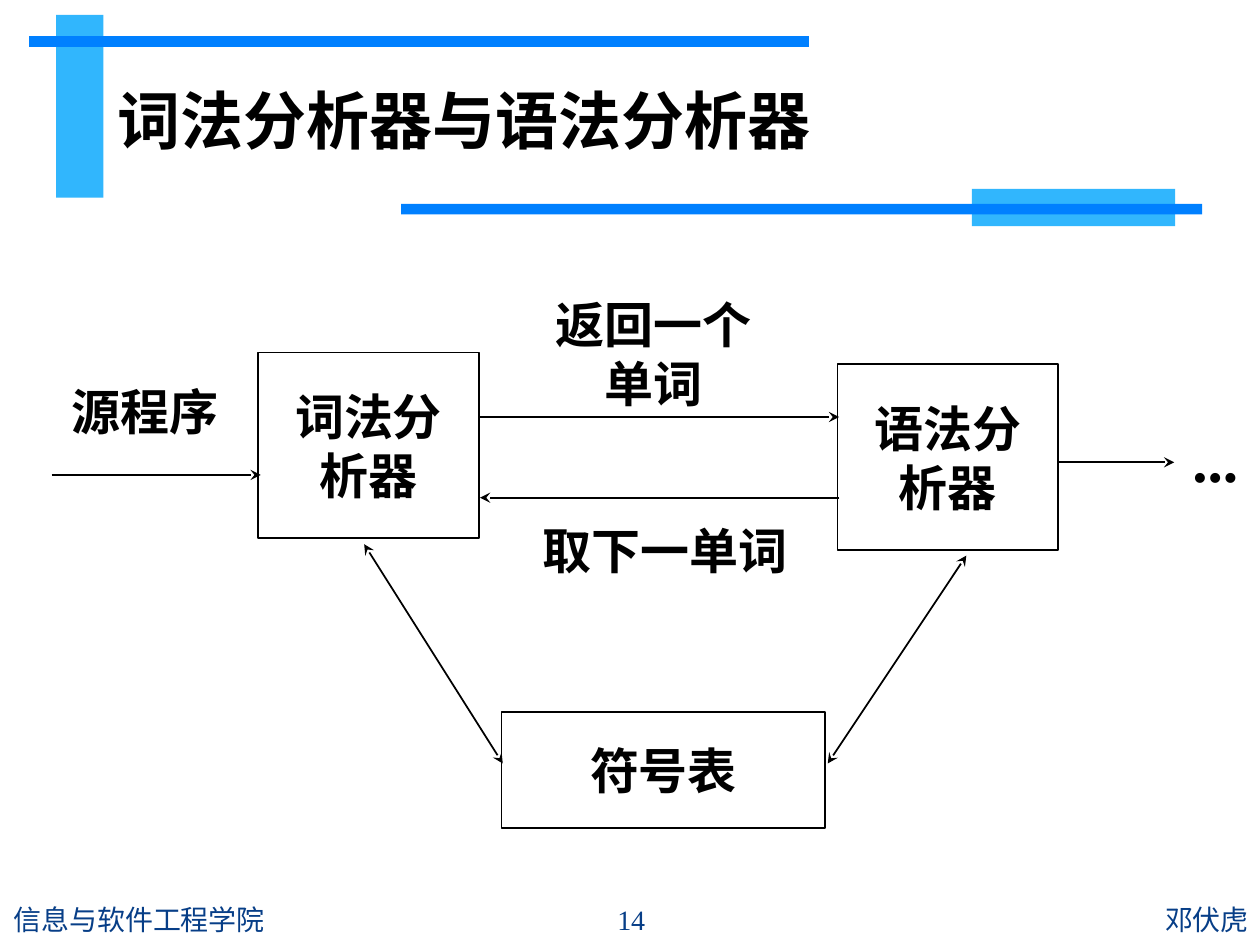
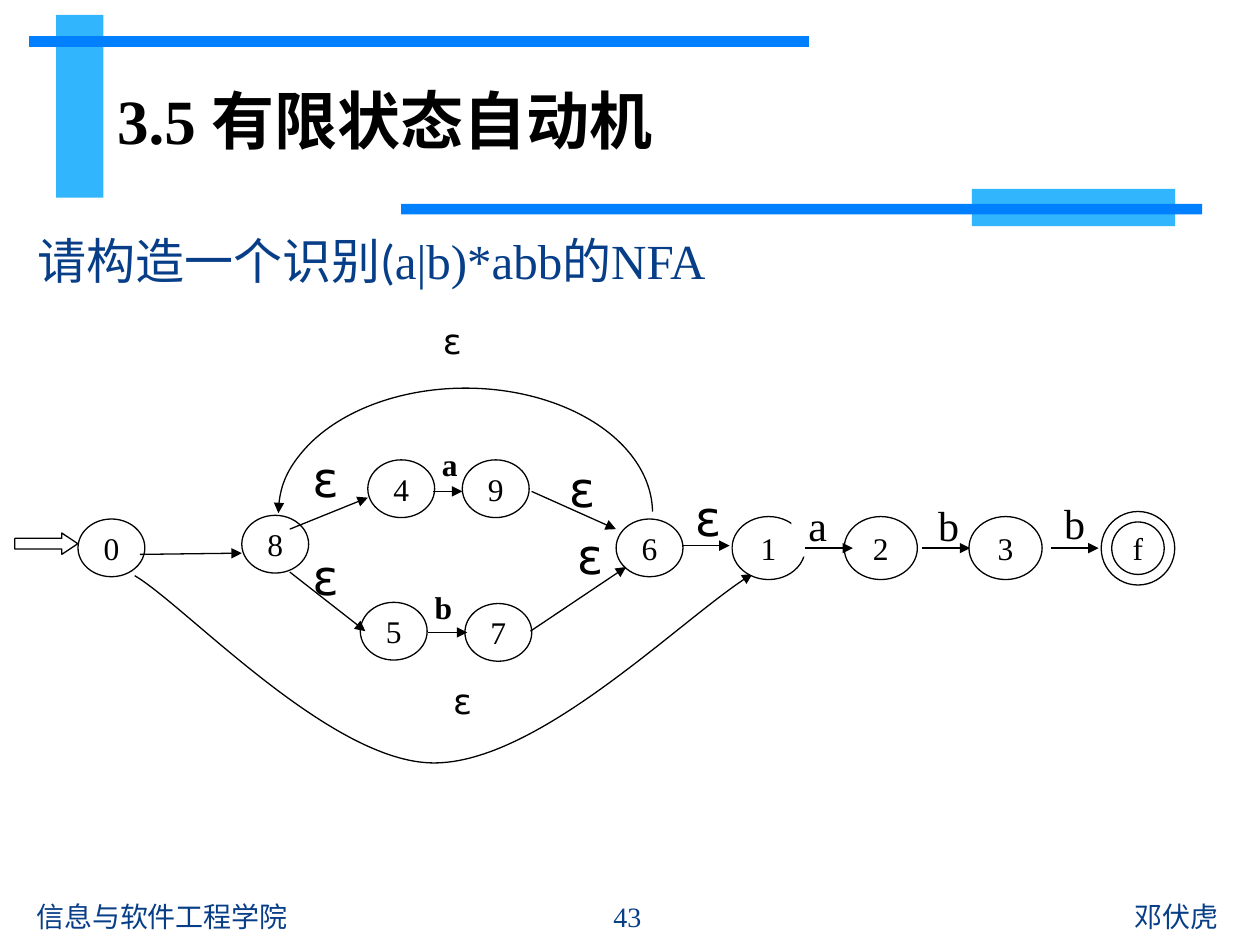
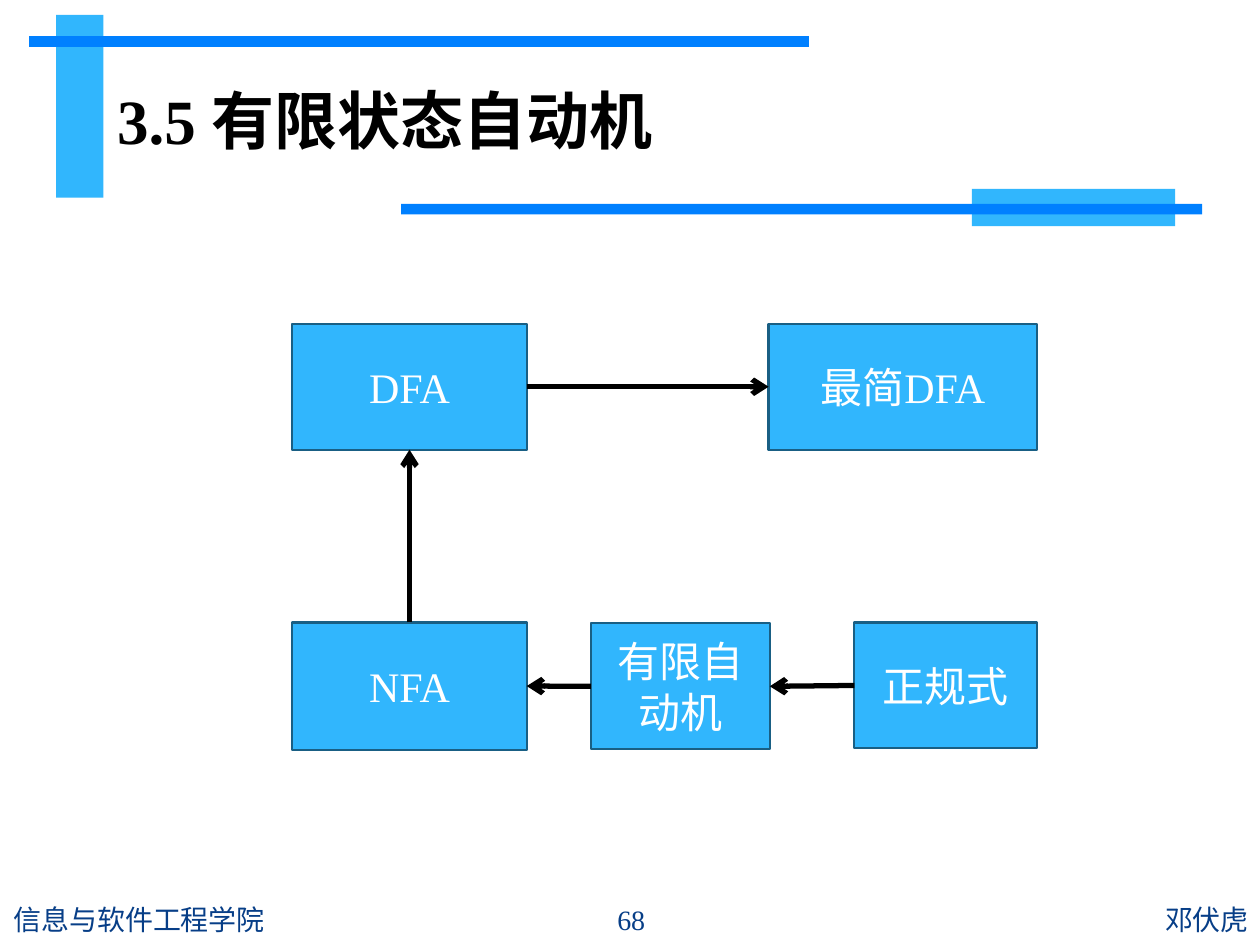
from dataclasses import dataclass

from lxml import etree
from pptx import Presentation
from pptx.dml.color import RGBColor
from pptx.enum.shapes import MSO_CONNECTOR, MSO_SHAPE
from pptx.enum.text import MSO_ANCHOR, PP_ALIGN
from pptx.oxml.ns import qn
from pptx.util import Pt

RECTANGLE, OVAL = MSO_SHAPE.RECTANGLE, MSO_SHAPE.OVAL
RIGHT_ARROW, ARC = MSO_SHAPE.RIGHT_ARROW, MSO_SHAPE.ARC
STRAIGHT = MSO_CONNECTOR.STRAIGHT
TOP, MIDDLE = MSO_ANCHOR.TOP, MSO_ANCHOR.MIDDLE
LEFT, CENTER, RIGHT = PP_ALIGN.LEFT, PP_ALIGN.CENTER, PP_ALIGN.RIGHT


@dataclass(frozen=True)
class Theme:
    sky: str = "31B6FD"
    blue: str = "0080FF"
    navy: str = "073E87"
    edge: str = "195F84"
    black: str = "000000"
    white: str = "FFFFFF"
    serif: str = "Times New Roman"
    sans: str = "Calibri"
    heading: str = "Arial"
    symbol: str = "DejaVu Sans"
    title_size: float = 36
    dots_size: float = 35
    body_size: float = 28
    box_size: float = 24
    small_symbol_size: float = 20
    state_size: float = 18
    footer_size: float = 16
    hairline: float = 0.75
    thin: float = 1
    border: float = 1.25
    thick: float = 3


THEME = Theme()


@dataclass(frozen=True)
class Box:
    left: float
    top: float
    width: float
    height: float

    def inner(self, left, top, width, height):
        return Box(self.left + left, self.top + top, width, height)

    def shift(self, x, y):
        return self.left + x, self.top + y

    def at(self, across, down):
        return self.left + self.width * across, self.top + self.height * down

    def lengths(self):
        return [Pt(value) for value in (self.left, self.top, self.width, self.height)]


def text_format(size, font=THEME.serif, color=THEME.black, bold=False):
    return {"size": Pt(size), "name": font, "bold": bold}, color


def write(shape, paragraphs, style, align=CENTER, anchor=MIDDLE, wrap=False):
    frame = shape.text_frame
    frame.word_wrap = wrap
    frame.vertical_anchor = anchor
    values, color = style
    for index, runs in enumerate(paragraphs):
        para = frame.paragraphs[0] if index == 0 else frame.add_paragraph()
        para.alignment = align
        for text, font in runs:
            span = para.add_run()
            span.text = text
            for name, value in {**values, "name": font or values["name"]}.items():
                setattr(span.font, name, value)
            span.font.color.rgb = RGBColor.from_string(color)


def plain(*lines):
    return [[(line, None)] for line in lines]


def add_text(page, box, paragraphs, style, **layout):
    write(page.shapes.add_textbox(*box.lengths()), paragraphs, style, **layout)


def set_line(shape, color, weight):
    shape.line.color.rgb = RGBColor.from_string(color)
    shape.line.width = Pt(weight)


def paint(shape, fill=None, line=None, weight=THEME.hairline):
    shape.shadow.inherit = False
    if fill:
        shape.fill.solid()
        shape.fill.fore_color.rgb = RGBColor.from_string(fill)
    else:
        shape.fill.background()
    if line:
        set_line(shape, line, weight)
    else:
        shape.line.fill.background()


def add_figure(page, kind, box, **colors):
    shape = page.shapes.add_shape(kind, *box.lengths())
    paint(shape, **colors)
    return shape


def add_heads(shape, **heads):
    outline = shape.line._get_or_add_ln()
    for end, kind in heads.items():
        etree.SubElement(outline, qn(f"a:{end}End"), type=kind)


def add_arrow(page, start, finish, weight, **heads):
    arrow = page.shapes.add_connector(STRAIGHT, *[Pt(value) for value in (*start, *finish)])
    set_line(arrow, THEME.black, weight)
    add_heads(arrow, **heads)
    etree.SubElement(arrow._element.spPr, qn("a:effectLst"))


def add_curve(page, points):
    scale = 12700
    builder = page.shapes.build_freeform(*points[0], scale=scale)
    builder.add_line_segments(points[1:], close=False)
    curve = builder.convert_to_shape()
    outline = curve._element.find(".//" + qn("a:path"))
    steps = outline.findall(qn("a:lnTo"))
    for first in range(0, len(steps), 3):
        bezier = etree.SubElement(outline, qn("a:cubicBezTo"))
        for step in steps[first:first + 3]:
            bezier.append(step[0])
            outline.remove(step)
    paint(curve, fill=THEME.white, line=THEME.black)
    add_heads(curve, tail="triangle")


def draw_header(page, box, title):
    for bar, color in (
        ((15.5, 0, 27, 104.5), THEME.sky),
        ((0, 12.1, 445.7, 6.2), THEME.blue),
        ((538.8, 99.4, 116.2, 21.4), THEME.sky),
        ((212.6, 108.1, 457.7, 6), THEME.blue),
    ):
        add_figure(page, RECTANGLE, box.inner(*bar), fill=color)
    add_text(page, box.inner(43.3, 23.2, 556, 73.4), [title],
             text_format(THEME.title_size, bold=True), align=LEFT, wrap=True)


def draw_footer(page, box, number):
    middle = 91.4
    side = (box.width - middle) / 2
    for left, width, text, font, align in (
        (0, side, "信息与软件工程学院", THEME.sans, LEFT),
        (side, middle, number, THEME.serif, CENTER),
        (side + middle, side, "邓伏虎", THEME.sans, RIGHT),
    ):
        add_text(page, box.inner(left, 0, width, box.height), plain(text),
                 text_format(THEME.footer_size, font, THEME.navy), align=align, wrap=True)


def draw_analyzers(page, box):
    bold = text_format(THEME.body_size, bold=True)
    for place, lines in (
        ((131.6, 29.4, 126, 106), ("词法分", "析器")),
        ((462.6, 36.2, 126, 106), ("语法分", "析器")),
        ((270.6, 234.8, 185, 66.2), ("符号表",)),
    ):
        module = add_figure(page, RECTANGLE, box.inner(*place),
                            line=THEME.black, weight=THEME.thin)
        write(module, plain(*lines), bold)
    for place, text in (
        ((0.4, 33.2, 132.5, 59.8), "源程序"),
        ((291.4, 0, 132.5, 59.8), "返回一个单词"),
        ((264.8, 112.4, 198.7, 59.8), "取下一单词"),
    ):
        add_text(page, box.inner(*place), plain(text), bold)
    add_text(page, box.inner(653.5, 59.8, 50, 59.8), plain("..."),
             text_format(THEME.dots_size, bold=True))
    one_way = {"tail": "stealth"}
    two_way = {"head": "stealth", "tail": "stealth"}
    for start, finish, heads in (
        ((13.5, 99.4), (133, 99.4), one_way),
        ((258.3, 66.3), (463.5, 66.3), one_way),
        ((463.5, 112.4), (258.3, 112.4), one_way),
        ((588.8, 92.2), (655, 92.2), one_way),
        ((192.1, 139), (271.3, 264.3), two_way),
        ((536.2, 145.5), (457, 264.3), two_way),
    ):
        add_arrow(page, box.shift(*start), box.shift(*finish), THEME.thin, **heads)


def draw_state(page, box, name):
    state = add_figure(page, OVAL, box, fill=THEME.white, line=THEME.black)
    if name:
        write(state, plain(name), text_format(THEME.state_size))


def draw_automaton(page, box):
    small, large = (38.2, 33), (41.8, 36)
    add_curve(page, [box.shift(*point) for point in (
        (69, 153), (97.8, 170.3), (181.4, 260.3), (240.4, 260.3),
        (299.4, 260.3), (384.4, 174.6), (421.8, 152.3))])
    entry = add_figure(page, RIGHT_ARROW, box.inner(0.5, 128.6, 36, 12.2),
                       fill=THEME.white, line=THEME.black)
    entry.adjustments[0], entry.adjustments[1] = 0.5, 0.75
    draw_state(page, box.inner(410.3, 119.2, *large), "1")

    epsilon = text_format(THEME.body_size, THEME.symbol), (26.6, 41)
    small_epsilon = text_format(THEME.small_symbol_size, THEME.symbol), (27.4, 31.7)
    letter = text_format(THEME.box_size), (30.2, 36)
    for text, left, top, (style, size) in (
        ("ε", 164.8, 132.9, epsilon),
        ("ε", 316, 120.6, epsilon),
        ("ε", 164.8, 76.7, epsilon),
        ("ε", 311.4, 82.5, epsilon),
        ("ε", 383.4, 99, epsilon),
        ("ε", 242.6, 208.5, small_epsilon),
        ("ε", 236.8, 3.3, small_epsilon),
        ("a", 444.2, 106.2, letter),
        ("b", 519, 106.2, letter),
        ("b", 591, 104.8, letter),
    ):
        label = add_figure(page, RECTANGLE, box.inner(left, top, *size), fill=THEME.white)
        write(label, plain(text), style, anchor=TOP)

    for name, left, top, size in (
        ("0", 36.6, 120.6, small),
        ("8", 130.2, 118.5, small),
        ("4", 202.2, 86.8, small),
        ("9", 256.2, 86.8, small),
        ("5", 197.9, 168.2, small),
        ("7", 257.7, 168.9, small),
        ("6", 344.1, 120.6, small),
        ("2", 474.4, 119.2, large),
        ("3", 545.7, 119.2, large),
        ("", 621.3, 116.3, (42, 42)),
        ("f", 627.3, 122.3, (30, 30)),
    ):
        draw_state(page, box.inner(left, top, *size), name)

    for text, left, top in (("a", 236.8, 74.6), ("b", 233.2, 156.6)):
        add_text(page, box.inner(left, top, 24.5, 28.8), plain(text),
                 text_format(THEME.state_size, bold=True), anchor=TOP)

    for start, finish in (
        ((71.9, 140.8), (130.2, 140.1)),
        ((157.6, 126.4), (202.2, 108.4)),
        ((239.7, 104.8), (256.2, 104.8)),
        ((295.8, 104.8), (344, 126.4)),
        ((157.6, 150.9), (200.8, 184.7)),
        ((236.8, 185.4), (259, 185.4)),
        ((295.1, 184.7), (349.8, 148)),
        ((381.5, 135.8), (408.9, 135.8)),
        ((452, 137.2), (479.4, 137.2)),
        ((519, 137.2), (546.4, 137.2)),
        ((592.5, 137.2), (619.8, 137.2)),
    ):
        add_arrow(page, box.shift(*start), box.shift(*finish), THEME.hairline, tail="triangle")

    loop = add_figure(page, ARC, box.inner(151.1, 45.8, 213.8, 142.6), line=THEME.black)
    loop.adjustments[0], loop.adjustments[1] = 107.95, 215.77
    add_heads(loop, head="triangle")


def draw_conversions(page, box):
    places = {
        "DFA": box.inner(0, 0, 134, 72),
        "最简DFA": box.inner(272.2, 0, 153.4, 72),
        "NFA": box.inner(0, 170.7, 134, 72.7),
        "有限自动机": box.inner(170.7, 171.2, 102.2, 72),
        "正规式": box.inner(321.2, 170.7, 104.4, 72),
    }
    for text, place in places.items():
        stage = add_figure(page, RECTANGLE, place, fill=THEME.sky,
                           line=THEME.edge, weight=THEME.border)
        write(stage, plain(text), text_format(THEME.box_size, color=THEME.white), wrap=True)
    left, right, top, bottom = (0, 0.5), (1, 0.5), (0.5, 0), (0.5, 1)
    for source, leaving, target, entering in (
        ("正规式", left, "有限自动机", right),
        ("有限自动机", left, "NFA", right),
        ("NFA", top, "DFA", bottom),
        ("DFA", right, "最简DFA", left),
    ):
        add_arrow(page, places[source].at(*leaving), places[target].at(*entering),
                  THEME.thick, tail="arrow")


def add_page(deck, title, number, footer):
    page = deck.slides.add_slide(deck.slide_layouts[6])
    draw_header(page, Box(16.6, 8.5, 670.3, 120.8), title)
    draw_footer(page, footer, number)
    return page


def main():
    deck = Presentation()
    deck.slide_width, deck.slide_height = Pt(720), Pt(540)
    wide_footer = Box(0.7, 511.2, 720, 28.8)
    inset_footer = Box(13.7, 509, 689.7, 28.8)
    section = [("3.5 ", THEME.serif), ("有限状态自动机", THEME.heading)]

    page = add_page(deck, [("词法分析器与语法分析器", THEME.heading)], "14", wide_footer)
    draw_analyzers(page, Box(16, 172, 704, 301))

    page = add_page(deck, section, "43", inset_footer)
    add_text(page, Box(14.4, 128.2, 686, 380),
             [[("请构造一个识别(", THEME.sans), ("a|b)*abb的NFA", THEME.serif)]],
             text_format(THEME.body_size, color=THEME.navy),
             align=LEFT, anchor=TOP, wrap=True)
    draw_automaton(page, Box(8, 176, 664, 261))

    page = add_page(deck, section, "68", wide_footer)
    draw_conversions(page, Box(167, 185, 425.6, 243.4))

    deck.save("out.pptx")


if __name__ == "__main__":
    main()
